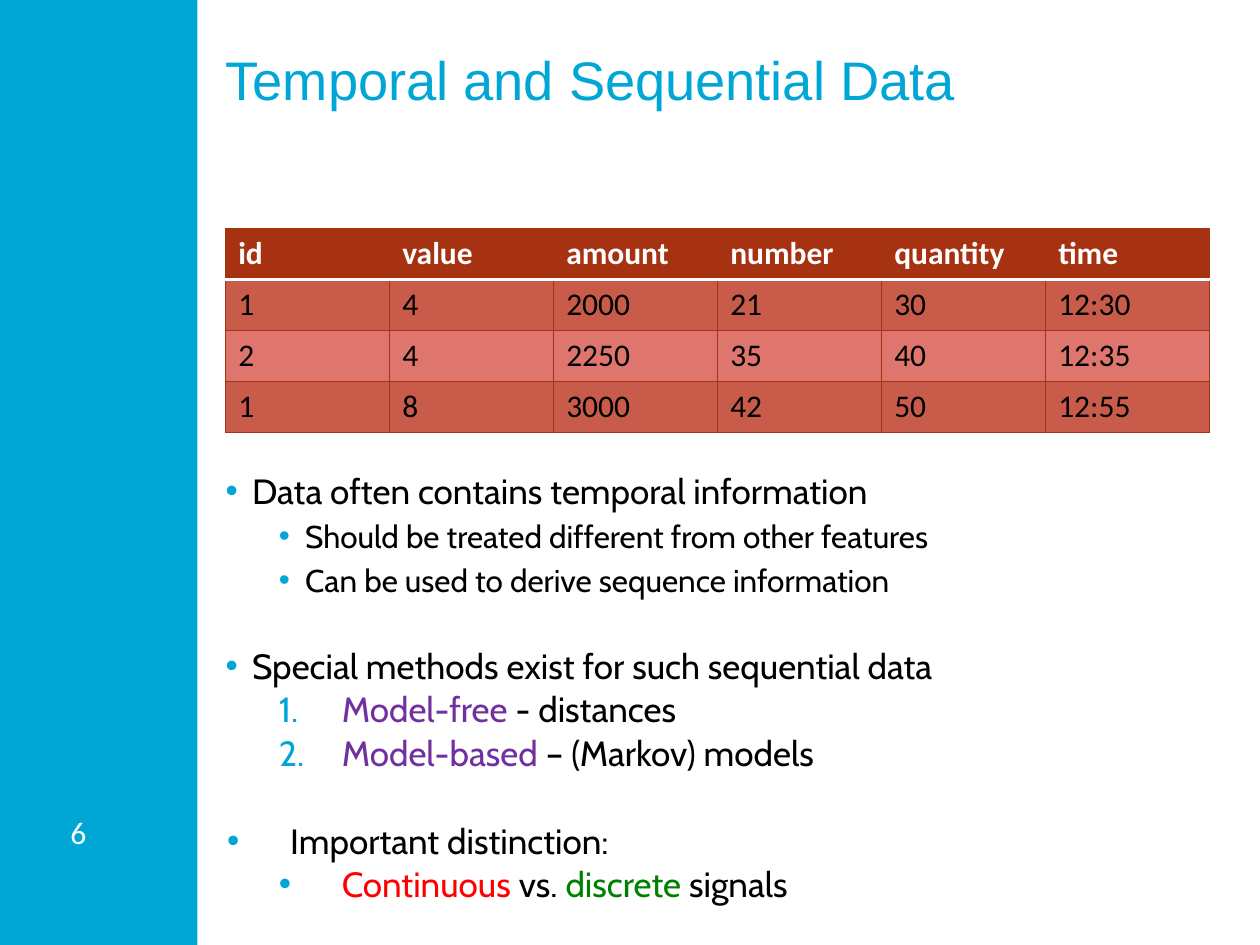
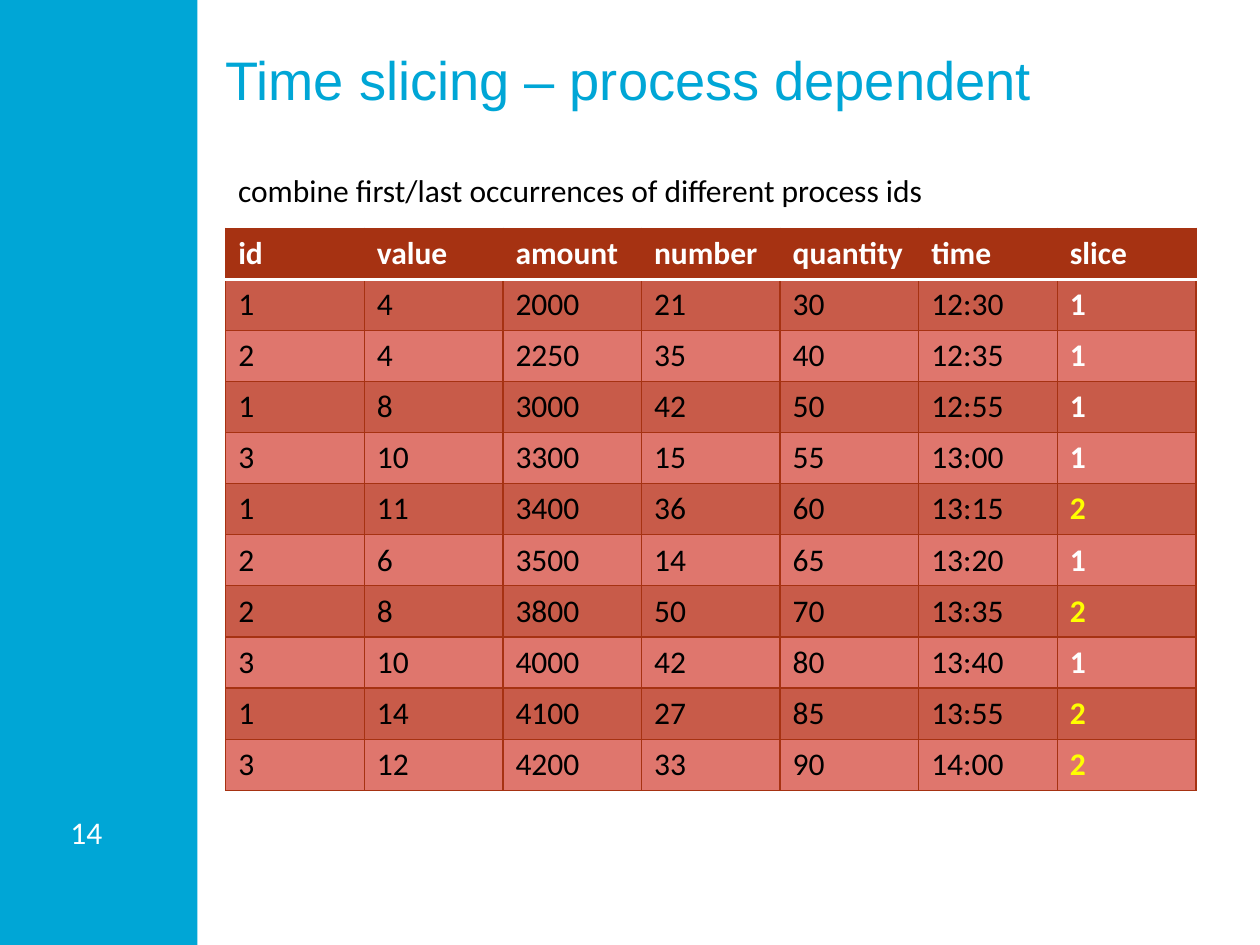
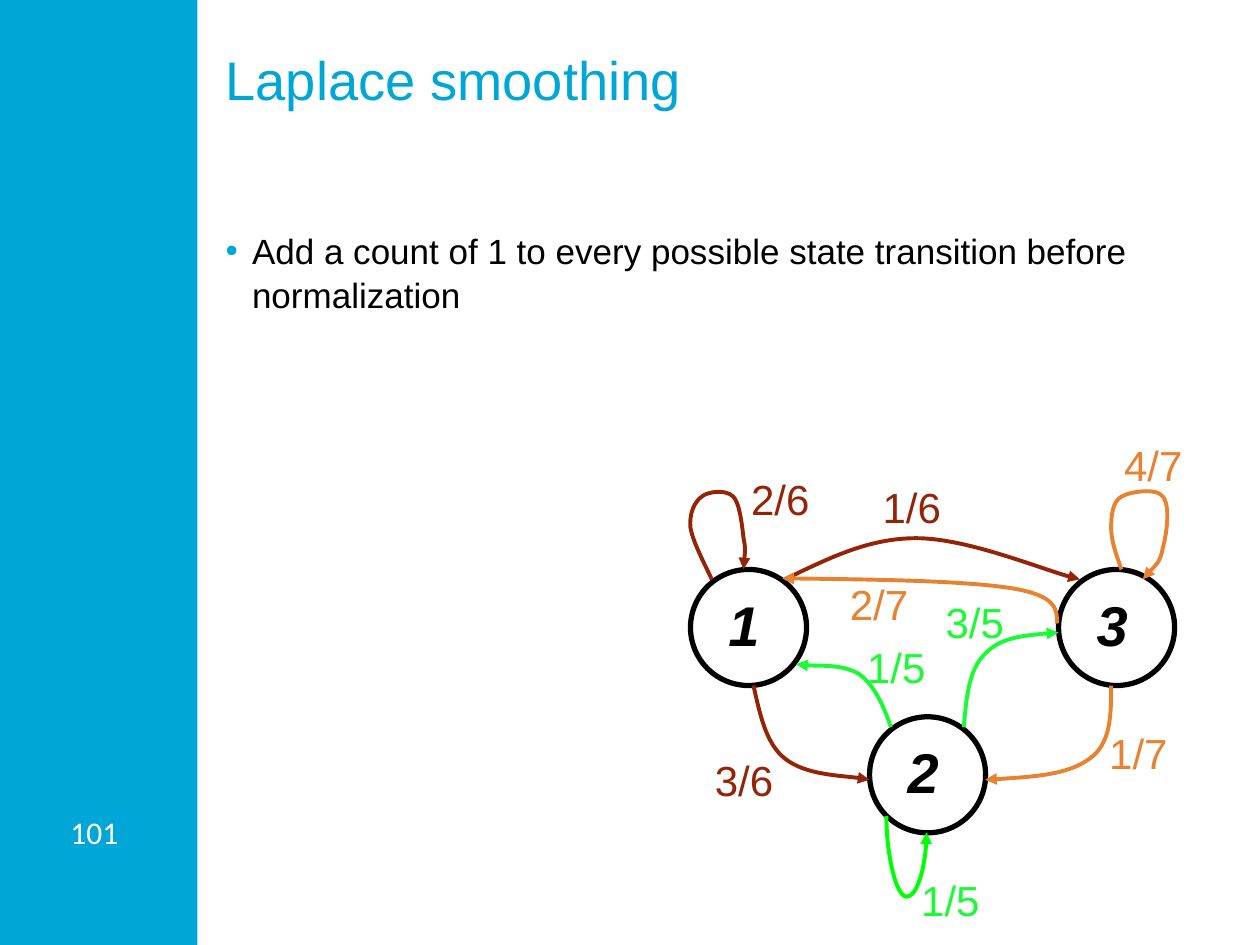
"""Build three slides on temporal data: introduction, time slicing and Laplace smoothing."""
from lxml.etree import SubElement
from pptx import Presentation
from pptx.dml.color import RGBColor
from pptx.enum.shapes import MSO_CONNECTOR, MSO_SHAPE
from pptx.enum.text import MSO_ANCHOR, MSO_AUTO_SIZE, PP_ALIGN
from pptx.oxml.ns import qn
from pptx.util import Cm, Pt

CYAN, RUST, BLACK, WHITE, YELLOW = "00A6D6", "A63212", "000000", "FFFFFF", "FFFF00"
PURPLE, RED, GREEN = "7030A0", "FF0000", "008000"
ROW_FILLS = ("C85B49", "DF766D")
LEFT, TABLE_TOP, ROW_H = 4.55, 4.6, 1.03
TITLE_BOX = (LEFT, 0.94, 19.56, 2.95)

TITLE = {"size": 31, "name": "Arial", "color": CYAN}
PAGE = {"size": 18, "name": "Calibri", "color": WHITE}
NOTE = {**PAGE, "color": BLACK}
HEAD = {**PAGE, "bold": True}
STATE = {"size": 32, "name": "Arial", "color": BLACK, "bold": True, "italic": True}

TOP, SUB = (0, 0.53, -0.53), (1, 1.6, -0.53)
WIDE_TOP, WIDE_SUB = (0, 1.3, -1.27), (1, 2.34, -1.27)
GAP = 25

# (indent, bullet, size, space before, runs)
INTRO = [
    (TOP, "•", 20, 0, [("Data often contains temporal information", BLACK)]),
    (SUB, "•", 18, 0, [("Should be treated different from other features", BLACK)]),
    (SUB, "•", 18, 0, [("Can be used to derive sequence information", BLACK)]),
    (TOP, "•", 20, GAP, [("Special methods exist for such sequential data", BLACK)]),
    (WIDE_SUB, "1.", 20, 0, [("Model-free", PURPLE), (" - distances", BLACK)]),
    (WIDE_SUB, "1.", 20, 0, [("Model-based", PURPLE), (" – (Markov) models", BLACK)]),
    (WIDE_TOP, "•", 20, GAP, [("Important distinction:", BLACK)]),
    (WIDE_SUB, "•", 20, 0, [("Continuous", RED), (" vs. ", BLACK), ("discrete", GREEN),
                            (" signals", BLACK)]),
]
SMOOTHING = [
    (TOP, "•", 20, 0,
     [("Add a count of 1 to every possible state transition before normalization", BLACK)]),
]

COLUMNS = ["id", "value", "amount", "number", "quantity", "time"]
EVENTS = [
    (1, 4, 2000, 21, 30, "12:30"),
    (2, 4, 2250, 35, 40, "12:35"),
    (1, 8, 3000, 42, 50, "12:55"),
    (3, 10, 3300, 15, 55, "13:00"),
    (1, 11, 3400, 36, 60, "13:15"),
    (2, 6, 3500, 14, 65, "13:20"),
    (2, 8, 3800, 50, 70, "13:35"),
    (3, 10, 4000, 42, 80, "13:40"),
    (1, 14, 4100, 27, 85, "13:55"),
    (3, 12, 4200, 33, 90, "14:00"),
]
SLICES = [1, 1, 1, 1, 2, 1, 2, 1, 2, 2]
SLICE_COLORS = {1: WHITE, 2: YELLOW}

STATES = {"1": (13.92, 11.48), "3": (21.34, 11.48), "2": (17.53, 14.45)}
STATE_COLORS = {"1": "942408", "2": "1AFA35", "3": "E68230"}
# (source state, start and Bézier points)
ARROWS = [
    ("1", [(14.35, 11.68), (14.17, 11.3), (13.97, 10.92), (13.92, 10.64),
           (13.89, 10.36), (14, 10.11), (14.15, 10.01), (14.27, 9.91),
           (14.63, 9.86), (14.78, 10.01), (14.91, 10.13), (14.96, 10.59),
           (14.99, 10.85), (15.04, 11.1), (14.99, 11.38), (14.99, 11.48)]),
    ("1", [(15.82, 11.68), (16.66, 11.28), (17.48, 10.85), (18.47, 10.85),
           (19.46, 10.85), (21.21, 11.56), (21.77, 11.68)]),
    ("1", [(15.19, 13.82), (15.32, 14.4), (15.44, 14.99), (15.82, 15.29),
           (16.23, 15.62), (17.25, 15.65), (17.53, 15.72)]),
    ("2", [(17.96, 14.66), (17.81, 14.22), (17.63, 13.82), (17.32, 13.59),
           (16.99, 13.39), (16.26, 13.44), (16.05, 13.39)]),
    ("2", [(19.43, 14.66), (19.48, 14.07), (19.53, 13.49), (19.86, 13.18),
           (20.17, 12.85), (20.75, 12.8), (21.34, 12.75)]),
    ("3", [(22.61, 11.48), (22.5, 11.18), (22.4, 10.9), (22.4, 10.64),
           (22.4, 10.39), (22.43, 10.11), (22.61, 10.01), (22.78, 9.91),
           (23.32, 9.83), (23.44, 10.01), (23.6, 10.19), (23.52, 10.77),
           (23.44, 11.05), (23.39, 11.35), (23.11, 11.58), (23.04, 11.68)]),
    ("3", [(22.4, 13.82), (22.4, 14.4), (22.4, 14.99), (21.97, 15.29),
           (21.54, 15.62), (20.7, 15.67), (19.86, 15.72)]),
    ("3", [(21.31, 12.57), (21.31, 12.29), (21.31, 12.01), (20.4, 11.86),
           (19.46, 11.71), (17.63, 11.68), (15.77, 11.66)]),
]
ODDS = [
    ("1", "2/6", 14.88, 9.42), ("1", "3/6", 14.15, 15.09), ("1", "1/6", 17.53, 9.58),
    ("2", "3/5", 18.8, 11.91), ("2", "1/5", 17.22, 12.8), ("2", "1/5", 18.31, 17.5),
    ("3", "4/7", 22.4, 8.74), ("3", "2/7", 16.87, 11.53), ("3", "1/7", 22.1, 14.55),
]


def rgb(color):
    return RGBColor.from_string(color)


def add_run(p, text, fmt):
    r = p.add_run()
    r.text = str(text)
    for key, value in fmt.items():
        if key == "color":
            r.font.color.rgb = rgb(value)
        else:
            setattr(r.font, key, Pt(value) if key == "size" else value)


def place(sp, box):
    for key, value in zip(("left", "top", "width", "height"), box):
        setattr(sp, key, Cm(value))


def set_frame(tf, **fmt):
    defaults = {"margin_left": 0, "margin_right": 0, "margin_top": 0, "margin_bottom": 0,
                "word_wrap": True, "auto_size": MSO_AUTO_SIZE.NONE,
                "vertical_anchor": MSO_ANCHOR.TOP}
    for key, value in {**defaults, **fmt}.items():
        setattr(tf, key, value)


def add_label(s, text, box, fmt, wrap=True):
    tf = s.shapes.add_textbox(*map(Cm, box)).text_frame
    tf.word_wrap = wrap
    p = tf.paragraphs[0]
    p.alignment = PP_ALIGN.LEFT if wrap else PP_ALIGN.CENTER
    add_run(p, text, fmt)
    return tf


def add_band(prs, s):
    """Make the side band once and hand it to the slide master."""
    sp = s.shapes.add_shape(MSO_SHAPE.RECTANGLE, 0, 0, Cm(3.98), prs.slide_height)
    sp.shadow.inherit = False
    sp.fill.solid()
    sp.fill.fore_color.rgb = rgb(CYAN)
    sp.line.fill.background()
    prs.slide_master.shapes.element.insert(2, sp.element)


def add_slide(prs, layout, title, number):
    s = prs.slides.add_slide(prs.slide_layouts[layout])
    place(s.shapes.title, TITLE_BOX)
    tf = s.shapes.title.text_frame
    set_frame(tf)
    tf.paragraphs[0].alignment = PP_ALIGN.LEFT
    add_run(tf.paragraphs[0], title, TITLE)
    page = add_label(s, number, (1.24, 16.28, 1.37, 1.02), PAGE)
    set_frame(page, margin_left=Cm(0.18), margin_right=Cm(0.18), margin_top=Cm(0.1))
    return s


def fill_body(s, items, box, font):
    body = s.placeholders[1]
    place(body, box)
    tf = body.text_frame
    set_frame(tf)
    for i, ((level, margin, indent), bullet, size, before, runs) in enumerate(items):
        p = tf.add_paragraph() if i else tf.paragraphs[0]
        pPr = p._p.get_or_add_pPr()
        pPr.set("marL", str(Cm(margin)))
        pPr.set("indent", str(Cm(indent)))
        SubElement(SubElement(pPr, qn("a:buClr")), qn("a:srgbClr"), val=CYAN)
        if bullet == "•":
            SubElement(pPr, qn("a:buChar"), char=bullet)
        else:
            SubElement(pPr, qn("a:buAutoNum"), type="arabicPeriod")
        p.level, p.line_spacing, p.space_before = level, Pt(25), Pt(before)
        for text, color in runs:
            add_run(p, text, {"size": size, "name": font, "color": color})


def set_borders(cell, row):
    edges = dict.fromkeys("LRTB", (RUST, 0.79))
    if row < 2:
        edges["TB"[row == 0]] = (WHITE, 2)
    tcPr = cell._tc.get_or_add_tcPr()
    for i, (edge, (color, width)) in enumerate(edges.items()):
        ln = SubElement(tcPr, qn(f"a:ln{edge}"), w=str(Pt(width)))
        SubElement(SubElement(ln, qn("a:solidFill")), qn("a:srgbClr"), val=color)
        tcPr.insert(i, ln)


def add_grid(s, columns, rows, width):
    data = [columns, *rows]
    box = (LEFT, TABLE_TOP, width, ROW_H * len(data))
    table = s.shapes.add_table(len(data), len(columns), *map(Cm, box)).table
    for col in table.columns:
        col.width = Cm(width / len(columns))
    for i, values in enumerate(data):
        table.rows[i].height = Cm(ROW_H)
        for j, value in enumerate(values):
            cell = table.cell(i, j)
            cell.fill.solid()
            cell.fill.fore_color.rgb = rgb(ROW_FILLS[(i - 1) % 2] if i else RUST)
            set_borders(cell, i)
            fmt = NOTE if i else HEAD
            if i and columns[j] == "slice":
                fmt = {**HEAD, "color": SLICE_COLORS[value]}
            add_run(cell.text_frame.paragraphs[0], value, fmt)


def style_arrow(sp, color):
    sp.line.color.rgb = rgb(color)
    sp.line.width = Pt(2.25)
    SubElement(sp.element.xpath(".//a:ln")[0], qn("a:tailEnd"), type="triangle")


def add_curve(s, points, color):
    """Draw an arrow along cubic Bézier segments."""
    start, *rest = [(Cm(x), Cm(y)) for x, y in points]
    builder = s.shapes.build_freeform(*start)
    builder.add_line_segments(rest, close=False)
    sp = builder.convert_to_shape()
    sp.shadow.inherit = False
    sp.fill.background()
    lines = sp.element.xpath(".//a:lnTo")
    outline = lines[0].getparent()
    for i in range(0, len(lines), 3):
        bezier = SubElement(outline, qn("a:cubicBezTo"))
        for line in lines[i:i + 3]:
            bezier.append(line[0])
            outline.remove(line)
    style_arrow(sp, color)


def add_bottom_loop(s):
    cxn = s.shapes.add_connector(MSO_CONNECTOR.CURVE, *map(Cm, (18.44, 16.21, 18.11, 17.02)))
    cxn.element.xpath(".//a:xfrm")[0].set("rot", "16200000")
    SubElement(cxn.element.xpath(".//a:avLst")[0], qn("a:gd"), name="adj1", fmla="val 493100")
    style_arrow(cxn, "00FF00")
    SubElement(cxn.element.spPr, qn("a:effectLst"))


def add_state(s, name, x, y):
    sp = s.shapes.add_shape(MSO_SHAPE.OVAL, *map(Cm, (x, y, 2.34, 2.34)))
    sp.shadow.inherit = False
    sp.fill.solid()
    sp.fill.fore_color.rgb = rgb(WHITE)
    sp.line.color.rgb = rgb(BLACK)
    sp.line.width = Pt(3)
    add_label(s, name, (x + 0.51, y + 0.3, 1.14, 1.6), STATE, wrap=False)


def main():
    prs = Presentation()
    prs.slide_width, prs.slide_height = Cm(25.4), Cm(19.05)

    s = add_slide(prs, 1, "Temporal and Sequential Data", 6)
    add_band(prs, s)
    add_grid(s, COLUMNS, EVENTS[:3], 19.84)
    fill_body(s, INTRO, (LEFT, 9.42, 19.89, 5.59), "Cabin")

    s = add_slide(prs, 5, "Time slicing – process dependent", 14)
    sliced = [(*event, part) for event, part in zip(EVENTS, SLICES)]
    add_grid(s, [*COLUMNS, "slice"], sliced, 19.56)
    add_label(s, "combine first/last occurrences of different process ids",
              (LEFT, 3.33, 20.68, 1.27), NOTE)

    s = add_slide(prs, 1, "Laplace smoothing", 101)
    fill_body(s, SMOOTHING, (LEFT, 4.6, 19.56, 13.36), "Arial")
    for name, (x, y) in STATES.items():
        add_state(s, name, x, y)
    for source, points in ARROWS:
        add_curve(s, points, STATE_COLORS[source])
    add_bottom_loop(s)
    for source, text, x, y in ODDS:
        fmt = {"size": 24, "name": "Arial", "color": STATE_COLORS[source]}
        add_label(s, text, (x, y, 1.7, 1.3), fmt, wrap=False)

    prs.save("out.pptx")


if __name__ == "__main__":
    main()
